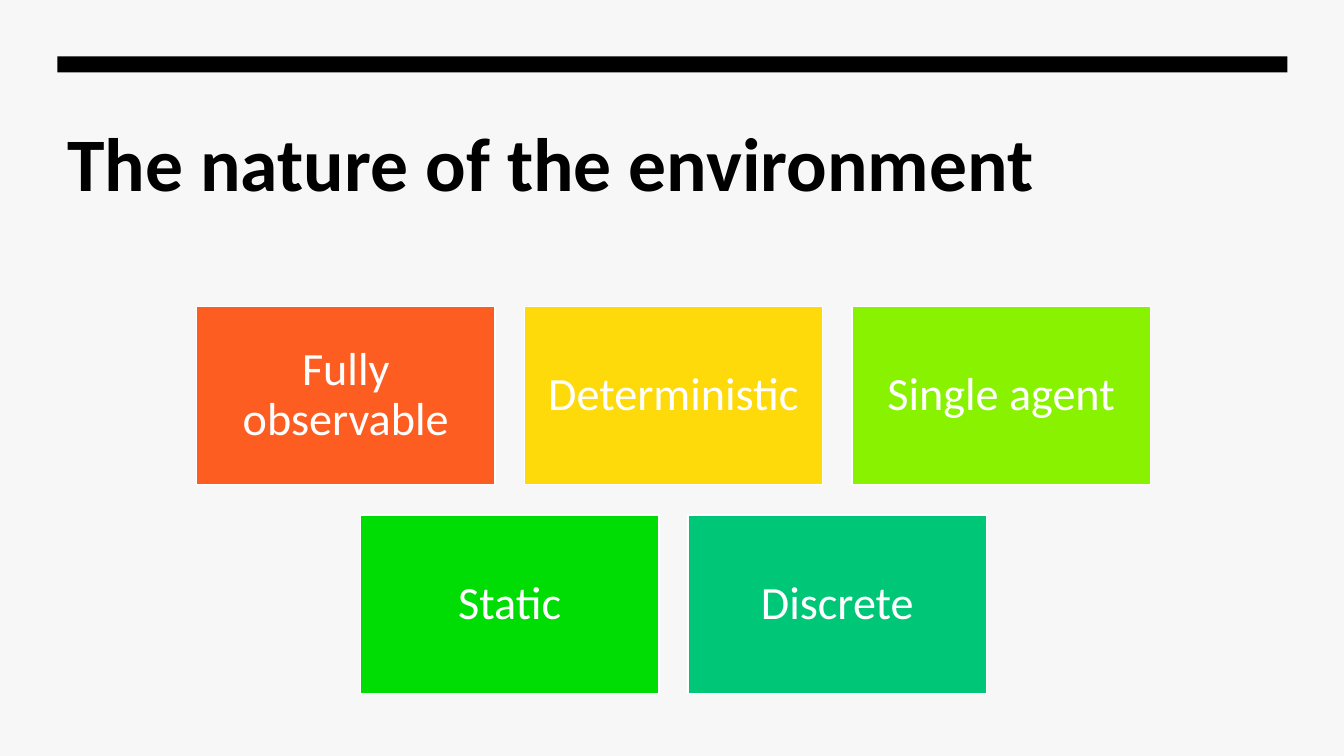
from pptx import Presentation
from pptx.dml.color import RGBColor
from pptx.enum.shapes import MSO_SHAPE
from pptx.enum.text import MSO_ANCHOR, PP_ALIGN
from pptx.util import Inches, Pt

RECT = MSO_SHAPE.RECTANGLE
LEFT, CENTER = PP_ALIGN.LEFT, PP_ALIGN.CENTER
TOP, MIDDLE = MSO_ANCHOR.TOP, MSO_ANCHOR.MIDDLE
WIDE, HIGH = 13.33, 7.5
COLORS = {
    "paper": "F7F7F7", "ink": "000000", "white": "FFFFFF",
    "orange": "FE5D21", "yellow": "FEDA0B", "lime": "89F201",
    "green": "00DD04", "teal": "00C777",
}
ROWS = [
    [("Fully observable", "orange"), ("Deterministic", "yellow"),
     ("Single agent", "lime")],
    [("Static", "green"), ("Discrete", "teal")],
]


def color(name):
    return RGBColor.from_string(COLORS[name])


def add_rect(slide, box, fill, line=None):
    shape = slide.shapes.add_shape(RECT, *map(Inches, box))
    shape.shadow.inherit = False
    shape.fill.solid()
    shape.fill.fore_color.rgb = color(fill)
    if line:
        shape.line.color.rgb = color(line)
        shape.line.width = Pt(1)
    else:
        shape.line.fill.background()
    return shape


def set_text(shape, text, size, ink, bold=False, align=LEFT, anchor=TOP,
             pad=(0.1, 0.05), space=1.0):
    frame = shape.text_frame
    frame.word_wrap = True
    frame.vertical_anchor = anchor
    frame.margin_left = frame.margin_right = Inches(pad[0])
    frame.margin_top = frame.margin_bottom = Inches(pad[1])
    para = frame.paragraphs[0]
    para.alignment = align
    para.line_spacing = space
    run = para.add_run()
    run.text = text
    run.font.name = "Calibri"
    run.font.size = Pt(size)
    run.font.bold = bold
    run.font.color.rgb = color(ink)


def add_head(slide, box):
    left, top, width, height = box
    # Bar above the title
    add_rect(slide, (left, top, width, 0.16), "ink")
    # Title
    title = slide.shapes.add_textbox(
        *map(Inches, (left, top + 0.51, width, height - 0.51)))
    set_text(title, "The nature of the environment", 54, "ink", bold=True,
             pad=(0.1, 0.08))


def add_tiles(slide, box):
    left, top, width, height = box
    gap_x, gap_y = 0.29, 0.3
    most = max(map(len, ROWS))
    tile_w = (width - gap_x * (most - 1)) / most
    tile_h = (height - gap_y * (len(ROWS) - 1)) / len(ROWS)
    for i, row in enumerate(ROWS):
        # Each row is centred in the box
        start = left + (most - len(row)) * (tile_w + gap_x) / 2
        y = top + i * (tile_h + gap_y)
        for j, (text, fill) in enumerate(row):
            x = start + j * (tile_w + gap_x)
            tile = add_rect(slide, (x, y, tile_w, tile_h), fill, "white")
            set_text(tile, text, 33, "white", align=CENTER, anchor=MIDDLE,
                     pad=(0.14, 0.14), space=0.9)


def main():
    deck = Presentation()
    deck.slide_width, deck.slide_height = Inches(WIDE), Inches(HIGH)
    slide = deck.slides.add_slide(deck.slide_layouts[6])
    back = slide.background.fill
    back.solid()
    back.fore_color.rgb = color("paper")
    add_head(slide, (0.57, 0.56, 12.2, 2.3))
    add_tiles(slide, (1.95, 3.04, 9.46, 3.84))
    deck.save("out.pptx")


if __name__ == "__main__":
    main()
